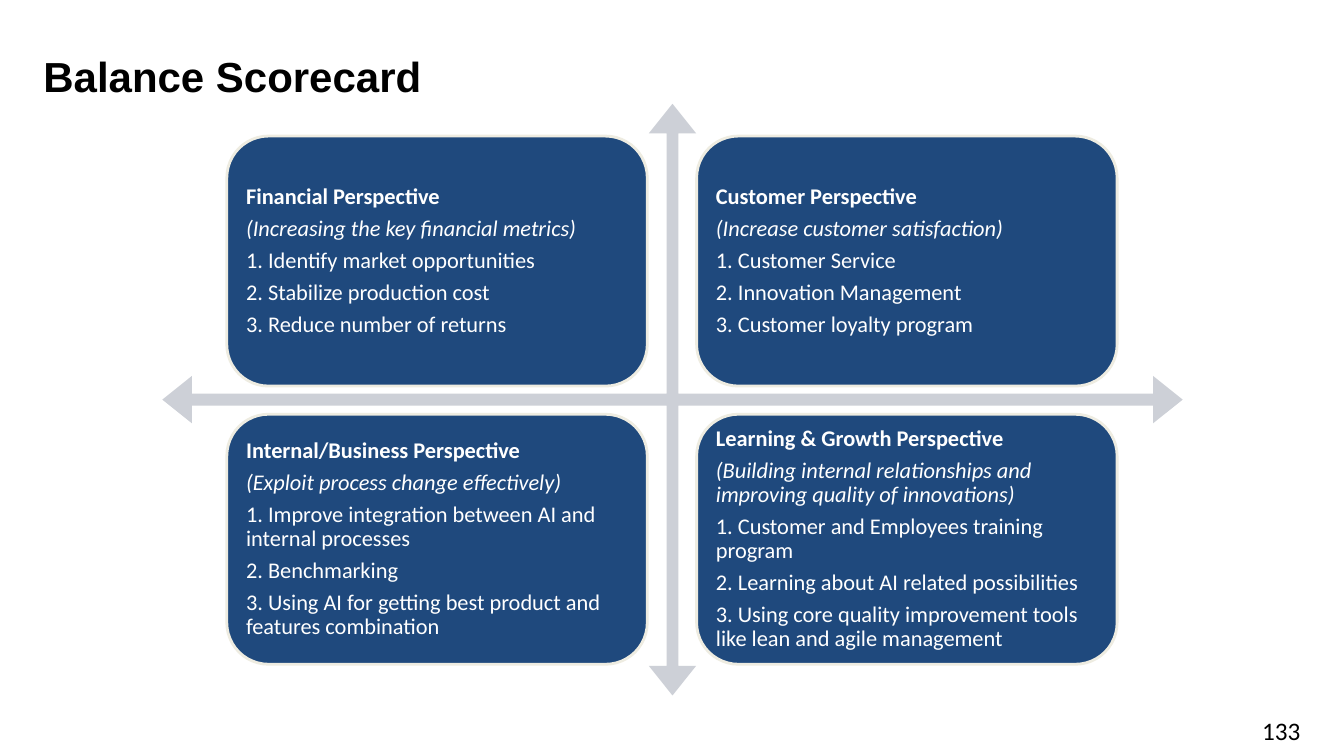
from pptx import Presentation
from pptx import util as u
from pptx.dml.color import RGBColor
from pptx.enum import shapes, text

PX = 9144  # EMU in one px, at 100 px to the inch

BLACK = RGBColor(0x00, 0x00, 0x00)
WHITE = RGBColor(0xFF, 0xFF, 0xFF)
NAVY = RGBColor(0x1F, 0x49, 0x7D)
CREAM = RGBColor(0xEE, 0xEC, 0xE1)
PALE_GREY = RGBColor(0xCD, 0xD0, 0xD7)

CARD_LEFT, CARD_TOP = 225, 135
CARD_WIDTH, CARD_HEIGHT = 417, 248
COLUMN_STEP, ROW_STEP = 466, 276
CARD_INSET = 7

PERSPECTIVES = [
    ("Financial Perspective",
     "(Increasing the key financial metrics)",
     ["Identify market opportunities",
      "Stabilize production cost",
      "Reduce number of returns"]),
    ("Customer Perspective",
     "(Increase customer satisfaction)",
     ["Customer Service",
      "Innovation Management",
      "Customer loyalty program"]),
    ("Internal/Business Perspective",
     "(Exploit process change effectively)",
     ["Improve integration between AI and internal processes",
      "Benchmarking",
      "Using AI for getting best product and features combination"]),
    ("Learning & Growth Perspective",
     "(Building internal relationships and improving quality of innovations)",
     ["Customer and Employees training program",
      "Learning about AI related possibilities",
      "Using core quality improvement tools like lean and agile management"]),
]


def box(*lengths):
    return [u.Emu(length * PX) for length in lengths]


def apply(target, values):
    for name, value in values.items():
        setattr(target, name, value)


def write(paragraph, words, color, **font_values):
    paragraph.text = words
    apply(paragraph.font, font_values)
    paragraph.font.color.rgb = color


def add_title(slide, words):
    title = slide.shapes.title
    title.left, title.top, title.width, title.height = box(33, 46, 1065, 59)
    apply(title.text_frame, {"vertical_anchor": text.MSO_ANCHOR.MIDDLE,
                             "word_wrap": True})
    heading = title.text_frame.paragraphs[0]
    heading.alignment = text.PP_ALIGN.LEFT
    write(heading, words, BLACK, name="Arial", size=u.Pt(30), bold=True)


def add_page_number(slide, number):
    page = slide.shapes.add_textbox(*box(1242, 705, 69, 40))
    page.text_frame.word_wrap = True
    write(page.text_frame.paragraphs[0], number, BLACK,
          name="Calibri", size=u.Pt(18))


def add_solid(slide, preset, place, fill):
    solid = slide.shapes.add_shape(preset, *box(*place))
    solid.shadow.inherit = False
    solid.fill.solid()
    solid.fill.fore_color.rgb = fill
    return solid


def add_axes(slide):
    axes = add_solid(slide, shapes.MSO_SHAPE.QUAD_ARROW,
                     (161, 103, 1012, 587), PALE_GREY)
    axes.line.fill.background()
    for index, ratio in enumerate((0.02, 0.04, 0.05)):
        axes.adjustments[index] = ratio


def add_perspective(slide, left, top, heading, aim, actions):
    card = add_solid(slide, shapes.MSO_SHAPE.ROUNDED_RECTANGLE,
                     (left, top, CARD_WIDTH, CARD_HEIGHT), NAVY)
    card.line.color.rgb = CREAM
    card.line.width = u.Pt(2)

    frame = card.text_frame
    apply(frame, {"word_wrap": True,
                  "vertical_anchor": text.MSO_ANCHOR.MIDDLE})
    apply(frame, {f"margin_{side}": u.Emu(CARD_INSET * PX)
                  for side in ("left", "top", "right", "bottom")})

    lines = [(heading, {"bold": True}), (aim, {"italic": True})]
    lines += [(f"{rank}. {action}", {})
              for rank, action in enumerate(actions, start=1)]
    for index, (words, emphasis) in enumerate(lines):
        paragraph = frame.add_paragraph() if index else frame.paragraphs[0]
        apply(paragraph, {"alignment": text.PP_ALIGN.LEFT,
                          "line_spacing": 0.9,
                          "space_after": u.Pt(5.5)})
        write(paragraph, words, WHITE,
              name="Calibri", size=u.Pt(16), **emphasis)


def main():
    deck = Presentation()
    deck.slide_width, deck.slide_height = box(1333, 750)
    slide = deck.slides.add_slide(deck.slide_layouts.get_by_name("Title Only"))

    add_page_number(slide, "133")
    add_title(slide, "Balance Scorecard")
    add_axes(slide)
    for index, perspective in enumerate(PERSPECTIVES):
        row, column = divmod(index, 2)
        add_perspective(slide, CARD_LEFT + column * COLUMN_STEP,
                        CARD_TOP + row * ROW_STEP, *perspective)
    deck.save("out.pptx")


if __name__ == "__main__":
    main()
